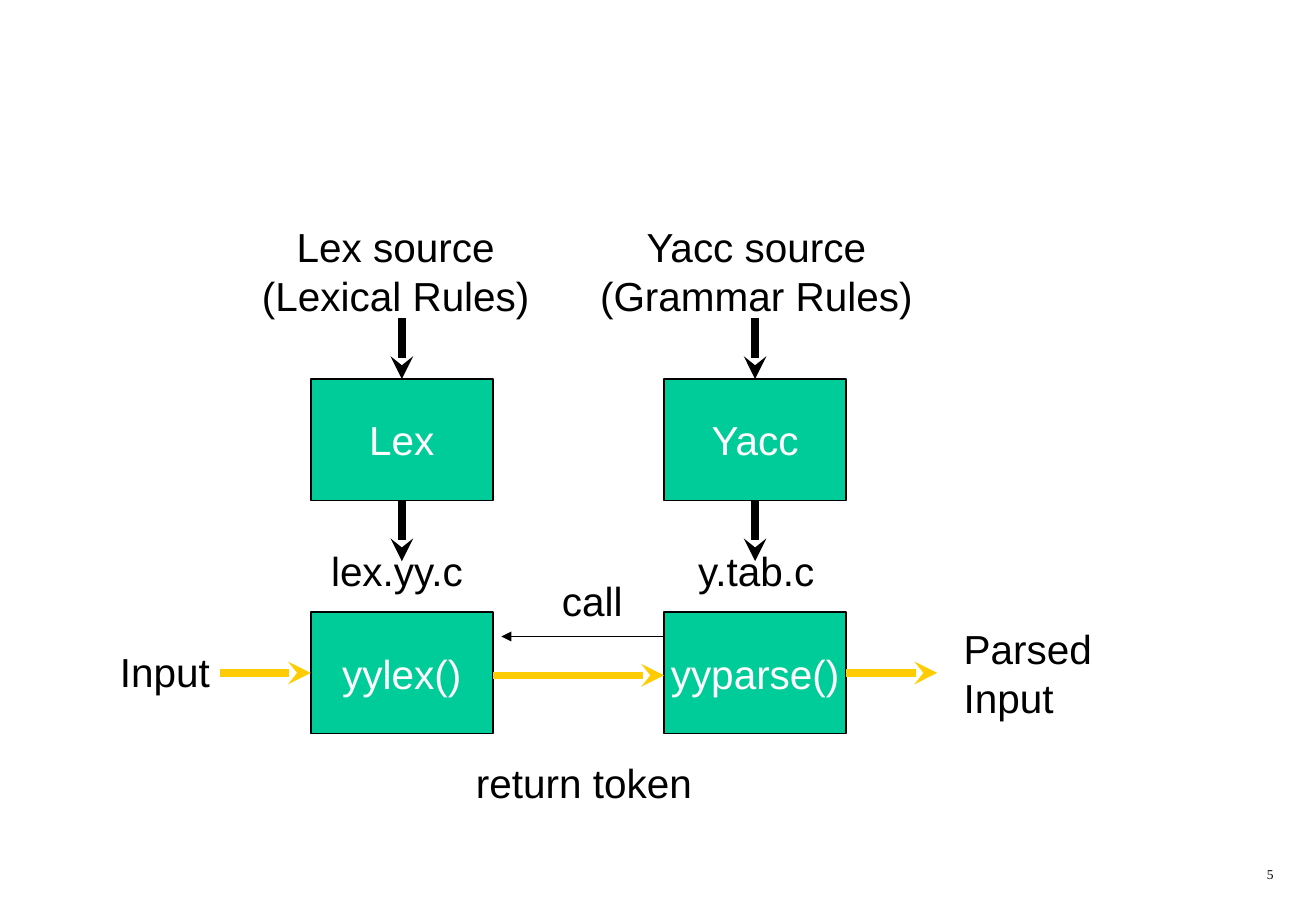
from lxml.etree import SubElement
from pptx import Presentation
from pptx.dml.color import RGBColor
from pptx.enum.shapes import MSO_CONNECTOR, MSO_SHAPE
from pptx.enum.text import MSO_AUTO_SIZE as AUTO_SIZE, PP_ALIGN as ALIGN
from pptx.oxml.ns import qn
from pptx.util import Pt

PX = 9144  # one hundredth of an inch
BLACK, WHITE, GREEN, GOLD = "000000", "FFFFFF", "00CC99", "FFCC00"
BOX_WIDTH, BOX_HEIGHT = 150, 100
LEX_X, YACC_X = 256, 547
TOOL_Y, PARSER_Y = 312, 504
ARROW_LENGTH = 50
PARSER_MIDDLE = PARSER_Y + BOX_HEIGHT // 2
TOP, LEFT, BOTTOM, RIGHT = range(4)


def write_text(shape, text, color, alignment, size=24, font="Arial"):
    frame = shape.text_frame
    frame.text = text
    frame.word_wrap = False
    for paragraph in frame.paragraphs:
        paragraph.alignment = alignment
        for run in paragraph.runs:
            run.font.name = font
            run.font.size = Pt(size)
            run.font.color.rgb = RGBColor.from_string(color)


def add_arrow(start, end, color=BLACK, width=4.5, head="stealth"):
    points = [value * PX for value in (*start, *end)]
    arrow = slide.shapes.add_connector(MSO_CONNECTOR.STRAIGHT, *points)
    arrow.line.color.rgb = RGBColor.from_string(color)
    arrow.line.width = Pt(width)
    SubElement(arrow.get_or_add_ln(), qn("a:tailEnd"), type=head)
    SubElement(arrow._element.spPr, qn("a:effectLst"))
    return arrow


presentation = Presentation()
presentation.slide_width = 1084 * PX
presentation.slide_height = 750 * PX
slide = presentation.slides.add_slide(presentation.slide_layouts[6])

# Tools and the functions they generate
boxes = {}
for name, x, y in [
    ("Lex", LEX_X, TOOL_Y),
    ("Yacc", YACC_X, TOOL_Y),
    ("yylex()", LEX_X, PARSER_Y),
    ("yyparse()", YACC_X, PARSER_Y),
]:
    box = slide.shapes.add_shape(
        MSO_SHAPE.RECTANGLE, x * PX, y * PX, BOX_WIDTH * PX, BOX_HEIGHT * PX)
    box.shadow.inherit = False
    box.fill.solid()
    box.fill.fore_color.rgb = RGBColor.from_string(GREEN)
    box.line.color.rgb = RGBColor.from_string(BLACK)
    box.line.width = Pt(1)
    write_text(box, name, WHITE, ALIGN.CENTER)
    boxes[name] = box

# Source into each tool, generated file out of it
for name, x in [("Lex", LEX_X), ("Yacc", YACC_X)]:
    middle = x + BOX_WIDTH // 2
    bottom = TOOL_Y + BOX_HEIGHT
    source_arrow = add_arrow((middle, TOOL_Y - ARROW_LENGTH), (middle, TOOL_Y))
    source_arrow.end_connect(boxes[name], TOP)
    output_arrow = add_arrow((middle, bottom), (middle, bottom + ARROW_LENGTH))
    output_arrow.begin_connect(boxes[name], BOTTOM)

# Data flow through the generated functions
input_arrow = add_arrow((181, PARSER_MIDDLE), (LEX_X, PARSER_MIDDLE), GOLD)
input_arrow.end_connect(boxes["yylex()"], LEFT)
add_arrow((LEX_X + BOX_WIDTH, 556), (YACC_X, 556), GOLD)
parsed_arrow = add_arrow(
    (YACC_X + BOX_WIDTH, PARSER_MIDDLE), (772, PARSER_MIDDLE), GOLD)
parsed_arrow.begin_connect(boxes["yyparse()"], RIGHT)
add_arrow((YACC_X, 524), (413, 524), width=0.75, head="triangle")

# Labels
for text, x, y, width, height, alignment in [
    ("Lex source\n(Lexical Rules)", 193, 178, 266, 90, ALIGN.CENTER),
    ("Yacc source\n(Grammar Rules)", 479, 178, 288, 90, ALIGN.CENTER),
    ("Input", 89, 528, 96, 50, ALIGN.LEFT),
    ("Parsed\nInput", 784, 509, 130, 90, ALIGN.LEFT),
    ("lex.yy.c", 256, 445, 142, 50, ALIGN.CENTER),
    ("y.tab.c", 547, 445, 152, 50, ALIGN.CENTER),
    ("return token", 381, 619, 200, 50, ALIGN.CENTER),
    ("call", 453, 469, 72, 50, ALIGN.LEFT),
]:
    label = slide.shapes.add_textbox(x * PX, y * PX, width * PX, height * PX)
    write_text(label, text, BLACK, alignment)
    # The wide boxes keep each line whole, so wrapping only fixes the width.
    label.text_frame.word_wrap = True
    label.text_frame.auto_size = AUTO_SIZE.SHAPE_TO_FIT_TEXT

page_number = slide.shapes.add_textbox(833 * PX, 708 * PX, 226 * PX, 25 * PX)
write_text(page_number, "5", BLACK, ALIGN.RIGHT, 8, "Times New Roman")
page_number.text_frame.word_wrap = True

presentation.save("out.pptx")
